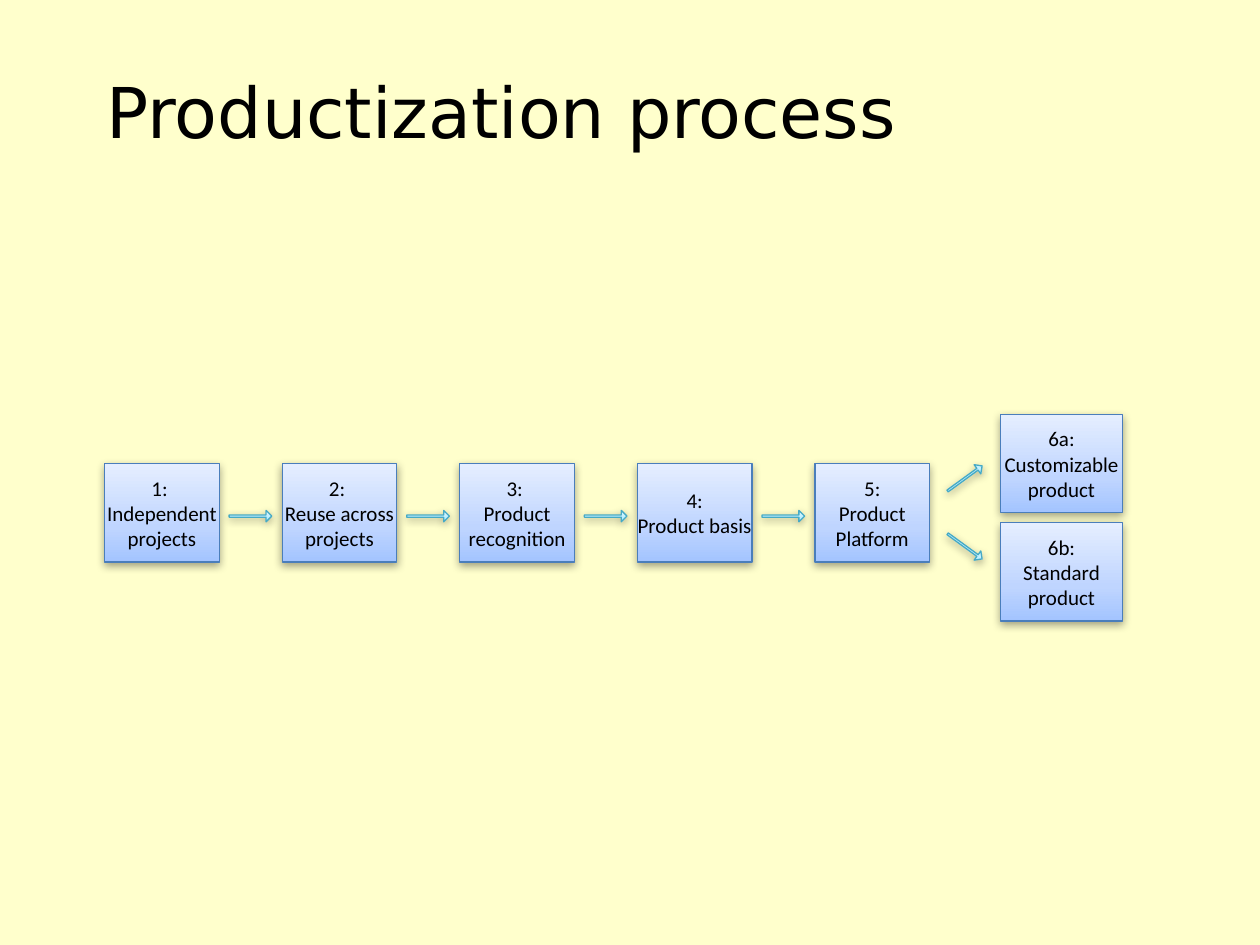
"""Build the productization process slide."""
from copy import deepcopy

from lxml import etree
from pptx import Presentation
from pptx.dml.color import RGBColor
from pptx.enum.shapes import MSO_SHAPE
from pptx.enum.text import MSO_ANCHOR, PP_ALIGN
from pptx.oxml.ns import qn
from pptx.util import Cm, Pt

RECT = MSO_SHAPE.RECTANGLE
ARROW = MSO_SHAPE.RIGHT_ARROW
MIDDLE = MSO_ANCHOR.MIDDLE
LEFT, CENTER = PP_ALIGN.LEFT, PP_ALIGN.CENTER

BLACK = RGBColor(0x00, 0x00, 0x00)
CREAM = RGBColor(0xFF, 0xFF, 0xCC)
BLUE = RGBColor(0x4A, 0x7E, 0xBB)
TEAL = RGBColor(0x46, 0xAA, 0xC5)
BLUES = (RGBColor(0xE5, 0xEE, 0xFF), RGBColor(0xBF, 0xD5, 0xFF), RGBColor(0xA3, 0xC4, 0xFF))
TEALS = (RGBColor(0xE4, 0xF9, 0xFF), RGBColor(0xBB, 0xEF, 0xFF), RGBColor(0x9E, 0xEA, 0xFF))
STOPS = (0, 0.65, 1)

STEPS = (
    ("1: ", "Independent projects"),
    ("2: ", "Reuse across projects"),
    ("3: ", "Product recognition"),
    ("4:", "Product basis"),
    ("5:", "Product Platform"),
)
ENDS = (
    (8.36, ("6a:", "Customizable product")),
    (10.54, ("6b:", "Standard product")),
)
FORKS = ((9.53, -36), (10.9, 36))
START, PITCH = 2.11, 3.58


def apply(item, values):
    for name, value in values.items():
        setattr(item, name, value)


class Deck:
    """Hold the style and the current slide."""

    title_font = {"name": "DejaVu Sans", "size": Pt(40)}
    box_font = {"name": "Calibri", "size": Pt(12)}
    title_frame = {"vertical_anchor": MIDDLE, "word_wrap": True}
    box_frame = {"vertical_anchor": MIDDLE, "word_wrap": True, "margin_left": 0, "margin_right": 0}
    shade = {"blurRad": Pt(5), "dist": Pt(1.6), "dir": 90 * 60000, "rotWithShape": 0}

    def __init__(self, slide):
        self.slide = slide
        fill = slide.background.fill
        fill.solid()
        fill.fore_color.rgb = CREAM

    def label(self, frame, lines, look, font, align):
        apply(frame, look)
        frame.text = "\n".join(lines)
        for para in frame.paragraphs:
            para.alignment = align
            apply(para.font, font)
            para.font.color.rgb = BLACK

    def title(self, text, left, top, width, height):
        head = self.slide.shapes.title
        apply(head, {"left": Cm(left), "top": Cm(top), "width": Cm(width), "height": Cm(height)})
        self.label(head.text_frame, [text], self.title_frame, self.title_font, LEFT)

    def shape(self, kind, left, top, width, height, tints, edge):
        shape = self.slide.shapes.add_shape(kind, Cm(left), Cm(top), Cm(width), Cm(height))
        shape.fill.gradient()
        shape.fill.gradient_angle = 270
        props = shape._element.spPr
        stops = props.find(".//" + qn("a:gsLst"))
        stops.append(deepcopy(stops[-1]))
        for stop, place, tint in zip(shape.fill.gradient_stops, STOPS, tints):
            stop.position = place
            stop.color.rgb = tint
        shape.line.color.rgb = edge
        shape.line.width = Pt(0.75)
        self.shadow(shape)
        return shape

    def shadow(self, shape):
        shape.shadow.inherit = False
        effects = shape._element.spPr.find(qn("a:effectLst"))
        outer = etree.SubElement(effects, qn("a:outerShdw"))
        for name, value in self.shade.items():
            outer.set(name, str(value))
        color = etree.SubElement(outer, qn("a:srgbClr"), val=str(BLACK))
        etree.SubElement(color, qn("a:alpha"), val="37000")

    def box(self, lines, left, top, width=2.31):
        box = self.shape(RECT, left, top, width, 1.98, BLUES, BLUE)
        self.label(box.text_frame, lines, self.box_frame, self.box_font, CENTER)

    def arrow(self, left, top, angle=0):
        arrow = self.shape(ARROW, left, top, 0.86, 0.23, TEALS, TEAL)
        arrow.adjustments[0] = 0.19
        arrow.adjustments[1] = 0.5
        arrow.rotation = angle


def main():
    show = Presentation()
    show.slide_width, show.slide_height = Cm(25.4), Cm(19.05)
    deck = Deck(show.slides.add_slide(show.slide_layouts[5]))
    deck.title("Productization process", 1.9, 0.64, 20.52, 3.18)
    for i, lines in enumerate(STEPS):
        left = START + i * PITCH
        deck.box(lines, left, 9.35)
        if i < len(STEPS) - 1:
            deck.arrow(left + 2.51, 10.29)
    for top, lines in ENDS:
        deck.box(lines, 20.17, top, 2.46)
    for top, angle in FORKS:
        deck.arrow(19.02, top, angle)
    show.save("out.pptx")


if __name__ == "__main__":
    main()
